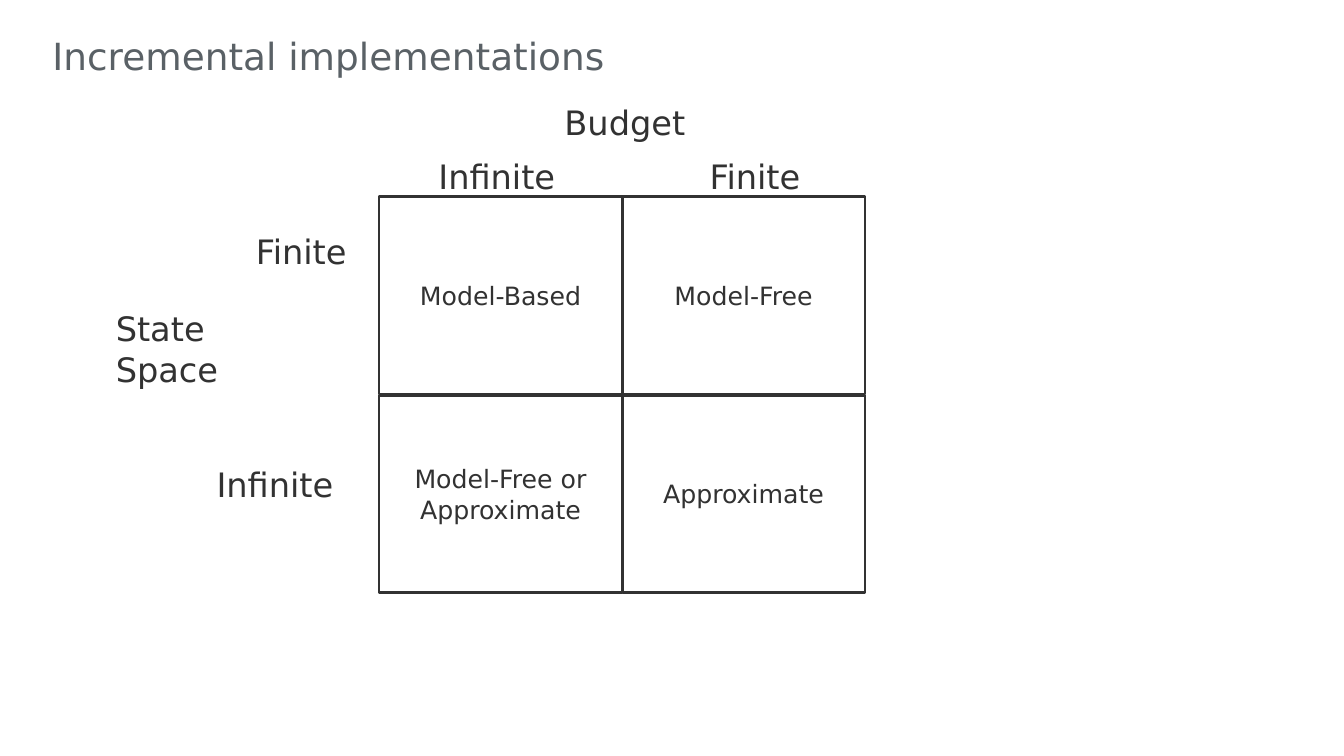
from pptx import Presentation
from pptx.dml.color import RGBColor
from pptx.enum.shapes import MSO_SHAPE
from pptx.enum.text import MSO_ANCHOR, PP_ALIGN
from pptx.util import Pt

PX = 9144  # EMU per px, 100 px to the inch
FONT = "DejaVu Sans"
COLORS = {"ink": "323232", "title": "5A6166", "paper": "FFFFFF"}
RECT = MSO_SHAPE.RECTANGLE
MIDDLE, BOTTOM = MSO_ANCHOR.MIDDLE, MSO_ANCHOR.BOTTOM
LEFT, CENTER = PP_ALIGN.LEFT, PP_ALIGN.CENTER

GRID_X, GRID_Y = 376, 195
CELL_W, CELL_H, STEP_Y = 241, 196, 197
CELLS = [
    ["Model-Based", "Model-Free"],
    ["Model-Free or\nApproximate", "Approximate"],
]
LABELS = [
    ("Budget", 550, 96, 181, 50),
    ("State Space", 105, 301, 127, 91),
    ("Infinite", 425, 150, 153, 50),
    ("Finite", 694, 150, 134, 50),
    ("Finite", 244, 224, 127, 50),
    ("Infinite", 205, 455, 167, 50),
]


def px(*lengths):
    return [n * PX for n in lengths]


def rgb(name):
    return RGBColor.from_string(COLORS[name])


def write(tf, text, size, color="ink", align=LEFT):
    tf.word_wrap = True
    tf.text = text
    for p in tf.paragraphs:
        p.alignment = align
        p.font.name = FONT
        p.font.size = Pt(size)
        p.font.color.rgb = rgb(color)


def set_title(slide, text):
    sp = slide.shapes.title
    sp.left, sp.top, sp.width, sp.height = px(52, 16, 1003, 61)
    tf = sp.text_frame
    tf.margin_left = tf.margin_right = tf.margin_bottom = 0
    tf.margin_top = 16 * PX
    tf.vertical_anchor = BOTTOM
    write(tf, text, 26.7, "title")


def add_label(slide, text, *box):
    sp = slide.shapes.add_textbox(*px(*box))
    write(sp.text_frame, text, 24)


def add_cell(slide, text, row, col):
    x, y = GRID_X + col * CELL_W, GRID_Y + row * STEP_Y
    sp = slide.shapes.add_shape(RECT, *px(x, y, CELL_W, CELL_H))
    sp.shadow.inherit = False
    sp.fill.solid()
    sp.fill.fore_color.rgb = rgb("paper")
    sp.line.color.rgb = rgb("ink")
    sp.line.width = Pt(2)
    sp.text_frame.vertical_anchor = MIDDLE
    write(sp.text_frame, text, 18, align=CENTER)


def main():
    prs = Presentation()
    prs.slide_width, prs.slide_height = px(1333, 750)
    slide = prs.slides.add_slide(prs.slide_layouts.get_by_name("Title Only"))
    set_title(slide, "Incremental implementations")

    # Two-by-two grid of methods
    for row, texts in enumerate(CELLS):
        for col, text in enumerate(texts):
            add_cell(slide, text, row, col)

    # Axis names and their values
    for label in LABELS:
        add_label(slide, *label)

    prs.save("out.pptx")


if __name__ == "__main__":
    main()
